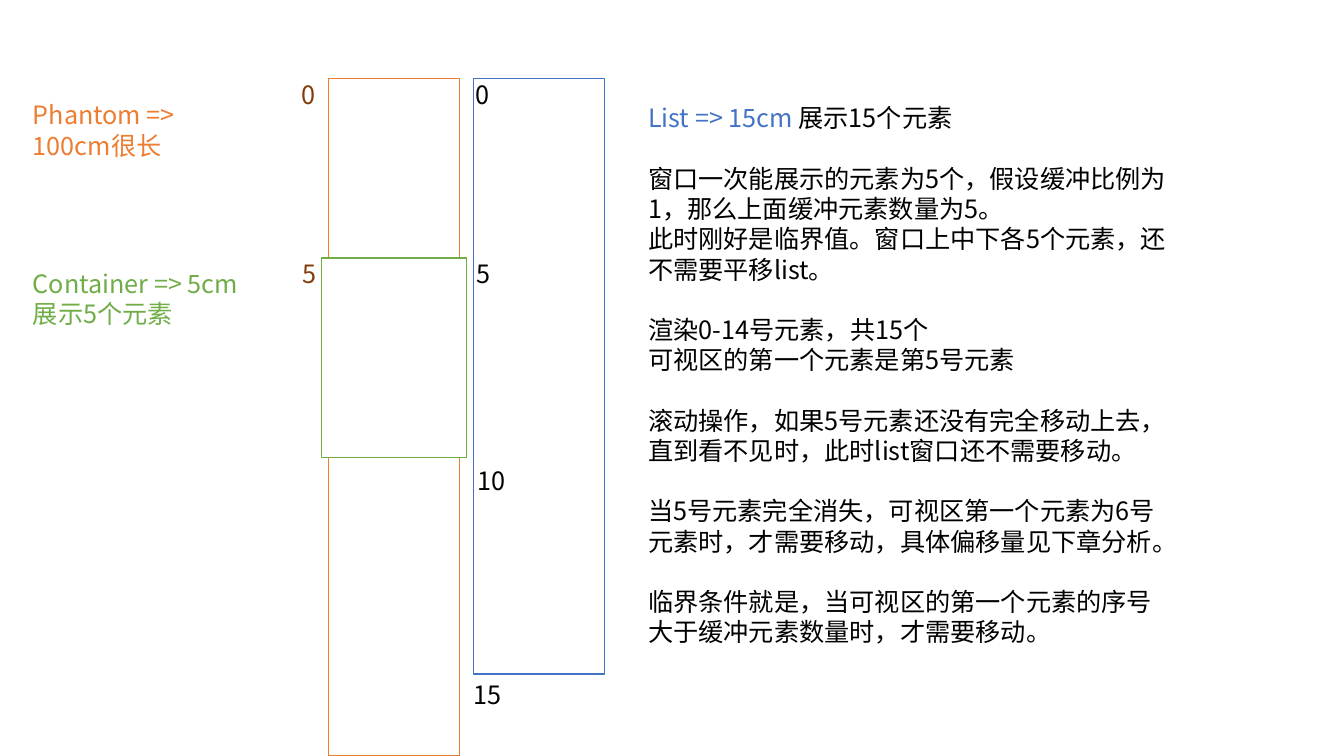
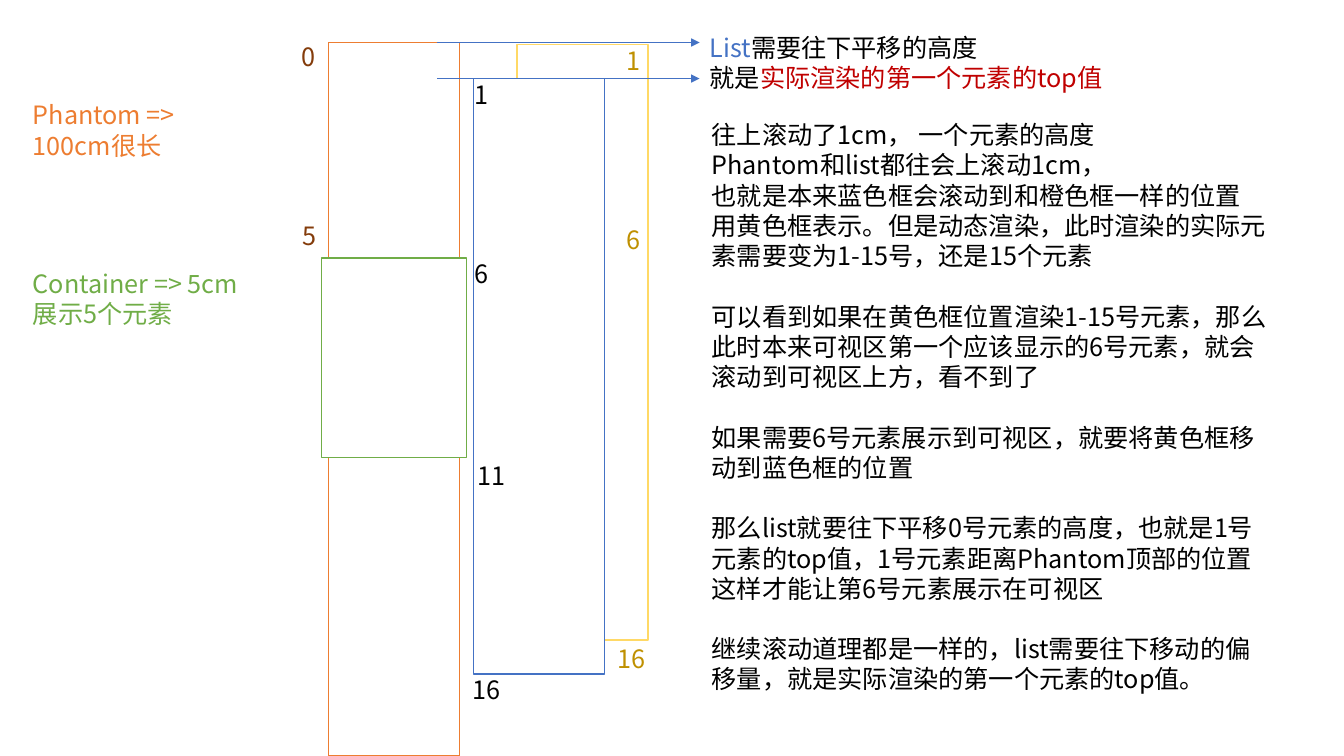
from dataclasses import dataclass

from lxml.etree import SubElement as Sub
from pptx import Presentation as Deck
from pptx.dml.color import RGBColor as Rgb
from pptx.enum.shapes import MSO_CONNECTOR as Link, MSO_SHAPE as Kind
from pptx.enum.text import MSO_ANCHOR as Anchor, MSO_AUTO_SIZE as Fit, PP_ALIGN as Align
from pptx.oxml.ns import qn
from pptx.util import Cm, Pt

FONT = "Noto Sans CJK SC"
SIZE = 18
PITCH = 21.6
ORANGE, GREEN, BLUE, YELLOW = "ED7D31", "70AD47", "4472C4", "FFD966"
BLACK, WHITE, BROWN, GOLD, RED = "000000", "FFFFFF", "843C0B", "BF9000", "C00000"

WIDE, HIGH = 33.87, 19.05
BAR = 3.3
SPAN = 15.01
TOP = 1.98
RISE = 1.07


@dataclass(frozen=True)
class Box:
    left: float
    top: float
    width: float
    height: float


@dataclass(frozen=True)
class Run:
    text: str
    color: str = BLACK


@dataclass(frozen=True)
class Mark:
    text: str
    left: float
    top: float
    color: str = BLACK


@dataclass(frozen=True)
class Page:
    head: tuple
    head_box: Box
    body: tuple
    body_box: Box
    phantom: float
    marks: tuple
    ghost: Box | None = None
    arrows: tuple = ()


def tint(code: str) -> Rgb:
    return Rgb.from_string(code)


def place(shape, box: Box) -> None:
    shape.left, shape.top = Cm(box.left), Cm(box.top)
    shape.width, shape.height = Cm(box.width), Cm(box.height)


def write(shape, groups: tuple, color: str = BLACK, size: float = SIZE) -> None:
    """Fill a shape with groups of lines; a gap of one line parts the groups."""
    frame = shape.text_frame
    frame.word_wrap = True
    frame.auto_size = Fit.NONE
    frame.vertical_anchor = Anchor.TOP
    frame.margin_top = Cm(0.17)
    para = frame.paragraphs[0]
    for g, group in enumerate(groups):
        for i, line in enumerate(group):
            if g or i:
                para = frame.add_paragraph()
            para.alignment = Align.LEFT
            para.line_spacing = Pt(PITCH)
            para.space_before = Pt(PITCH if g and not i else 0)
            props = para._p.get_or_add_pPr()
            props.set("marL", "0")
            props.set("indent", "0")
            Sub(props, qn("a:buNone"))
            for part in (Run(line, color),) if isinstance(line, str) else line:
                run = para.add_run()
                run.text = part.text
                font = run.font
                font.name, font.size = FONT, Pt(size)
                font.color.rgb = tint(part.color)
                Sub(run._r.get_or_add_rPr(), qn("a:ea"), typeface=FONT)


def label(slide, box: Box, *lines: str, color: str = BLACK) -> None:
    shape = slide.shapes.add_textbox(0, 0, 0, 0)
    place(shape, box)
    write(shape, (lines,), color=color)


def frame(slide, box: Box, color: str) -> None:
    shape = slide.shapes.add_shape(Kind.RECTANGLE, 0, 0, 0, 0)
    place(shape, box)
    shape.shadow.inherit = False
    shape.fill.solid()
    shape.fill.fore_color.rgb = tint(WHITE)
    shape.line.color.rgb = tint(color)
    shape.line.width = Pt(1)


def arrow(slide, top: float) -> None:
    link = slide.shapes.add_connector(Link.STRAIGHT, Cm(11.02), Cm(top), Cm(17.63), Cm(top))
    link.line.color.rgb = tint(BLUE)
    link.line.width = Pt(0.5)
    Sub(link.line._get_or_add_ln(), qn("a:tailEnd"), type="triangle")
    Sub(link._element.spPr, qn("a:effectLst"))


def draw(deck, page: Page) -> None:
    slide = deck.slides.add_slide(deck.slide_layouts[1])
    title, body = slide.placeholders
    for shape, box, groups in (
        (title, page.head_box, (page.head,)),
        (body, page.body_box, page.body),
    ):
        place(shape, box)
        write(shape, groups)
    if page.ghost:
        frame(slide, page.ghost, YELLOW)
    frame(slide, Box(8.28, page.phantom, BAR, HIGH - page.phantom), ORANGE)
    frame(slide, Box(8.1, 6.5, 3.66, 5.03), GREEN)
    frame(slide, Box(11.94, TOP, BAR, SPAN), BLUE)
    label(slide, Box(0.58, 6.58, 5.87, 1.8), "Container => 5cm", "展示5个元素", color=GREEN)
    label(slide, Box(0.58, 2.34, 4.57, 1.8), "Phantom => 100cm很长", color=ORANGE)
    for top in page.arrows:
        arrow(slide, top)
    for mark in page.marks:
        label(slide, Box(mark.left, mark.top, 1.24, 1.02), mark.text, color=mark.color)


PAGES = (
    Page(
        head=((Run("List => 15cm ", BLUE), Run("展示15个元素")),),
        head_box=Box(16.08, 2.41, 13.64, 1.02),
        body=(
            (
                "窗口一次能展示的元素为5个，假设缓冲比例为 1，那么上面缓冲元素数量为5。",
                "此时刚好是临界值。窗口上中下各5个元素，还不需要平移list。",
            ),
            ("渲染0-14号元素，共15个", "可视区的第一个元素是第5号元素"),
            ("滚动操作，如果5号元素还没有完全移动上去，直到看不见时，此时list窗口还不需要移动。",),
            ("当5号元素完全消失，可视区第一个元素为6号元素时，才需要移动，具体偏移量见下章分析。",),
            ("临界条件就是，当可视区的第一个元素的序号大于缓冲元素数量时，才需要移动。",),
        ),
        body_box=Box(16.08, 3.94, 13.64, 13.36),
        phantom=TOP,
        marks=(
            Mark("0", 11.73, 1.83),
            Mark("5", 11.76, 6.35),
            Mark("10", 11.79, 11.56),
            Mark("15", 11.68, 16.94),
            Mark("0", 7.34, 1.83, BROWN),
            Mark("5", 7.37, 6.35, BROWN),
        ),
    ),
    Page(
        head=(
            (Run("List", BLUE), Run("需要往下平移的高度")),
            (Run("就是"), Run("实际渲染的第一个元素的top值", RED)),
        ),
        head_box=Box(17.63, 0.64, 13.64, 1.8),
        body=(
            (
                "往上滚动了1cm， 一个元素的高度",
                "Phantom和list都往会上滚动1cm，",
                "也就是本来蓝色框会滚动到和橙色框一样的位置",
                "用黄色框表示。但是动态渲染，此时渲染的实际元素需要变为1-15号，还是15个元素",
            ),
            (
                "可以看到如果在黄色框位置渲染1-15号元素，那么此时本来可视区第一个应该显示的"
                "6号元素，就会滚动到可视区上方，看不到了",
            ),
            ("如果需要6号元素展示到可视区，就要将黄色框移动到蓝色框的位置",),
            (
                "那么list就要往下平移0号元素的高度，也就是1号元素的top值，"
                "1号元素距离Phantom顶部的位置",
                "这样才能让第6号元素展示在可视区",
            ),
            ("继续滚动道理都是一样的，list需要往下移动的偏移量，就是实际渲染的第一个元素的top值。",),
        ),
        body_box=Box(17.68, 2.84, 14.66, 14.88),
        phantom=RISE,
        marks=(
            Mark("1", 11.71, 1.83),
            Mark("6", 11.71, 6.35),
            Mark("11", 11.79, 11.43),
            Mark("16", 11.66, 16.81),
            Mark("0", 7.34, 0.86, BROWN),
            Mark("5", 7.37, 5.38, BROWN),
            Mark("1", 15.54, 0.97, GOLD),
            Mark("6", 15.54, 5.49, GOLD),
            Mark("16", 15.32, 16.05, GOLD),
        ),
        ghost=Box(13.03, 1.12, BAR, SPAN),
        arrows=(RISE, TOP),
    ),
)


def main() -> None:
    deck = Deck()
    deck.slide_width, deck.slide_height = Cm(WIDE), Cm(HIGH)
    for page in PAGES:
        draw(deck, page)
    deck.save("out.pptx")


if __name__ == "__main__":
    main()
